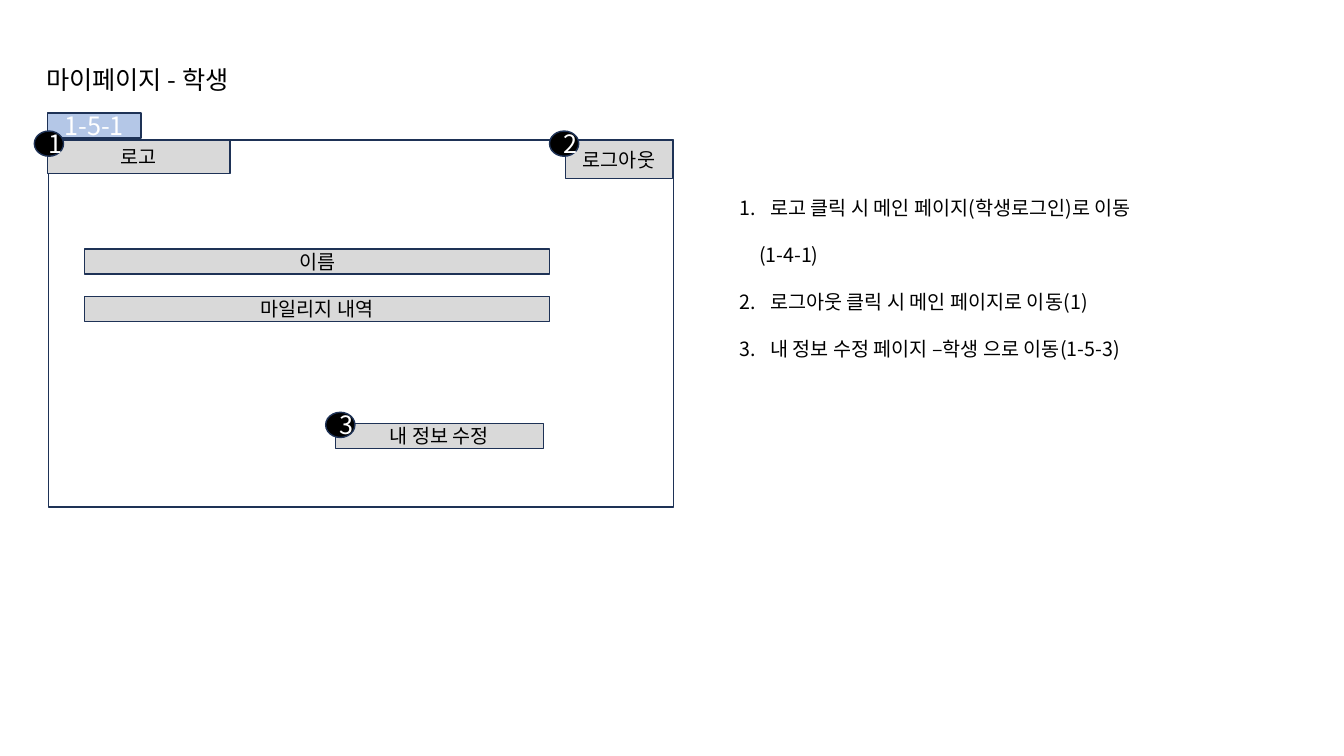
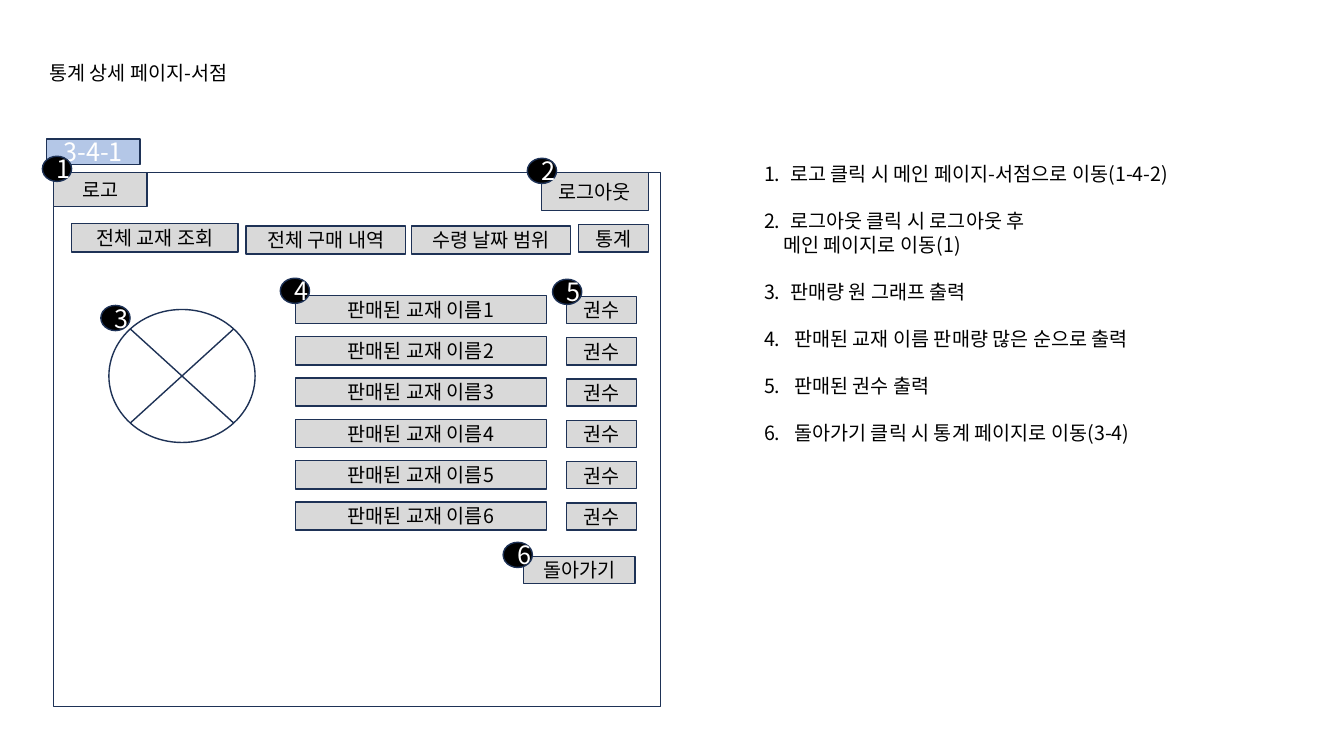
import pptx
import pptx.util
import pptx.dml.color
import pptx.enum.shapes
import pptx.enum.text
import pptx.oxml

Inches, Pt = pptx.util.Inches, pptx.util.Pt
RGB = pptx.dml.color.RGBColor
SHAPE = pptx.enum.shapes.MSO_SHAPE
CENTER = pptx.enum.text.PP_ALIGN.CENTER

FONT = "Noto Sans CJK KR"
BLACK, WHITE = RGB(0, 0, 0), RGB(0xFF, 0xFF, 0xFF)
NAVY, BLUE, GRAY = RGB(0x1E, 0x32, 0x56), RGB(0xB4, 0xC7, 0xE7), RGB(0xD9, 0xD9, 0xD9)

# Part styles: preset shape, fill, text format
FRAME = (SHAPE.RECTANGLE, WHITE, {})
TAG = (SHAPE.RECTANGLE, BLUE, {"size": 18, "color": WHITE})
BUTTON = (SHAPE.RECTANGLE, GRAY, {"size": 14, "color": BLACK})
BADGE = (SHAPE.OVAL, BLACK, {"size": 18, "color": WHITE})
PIE = (SHAPE.FLOWCHART_SUMMING_JUNCTION, WHITE, {})

BADGE_SIZE = (0.29, 0.25)
TAG_SIZE = (0.93, 0.25)
CONTINUATION_INDENT = 0.19
ROW_TOP, ROW_PITCH, ROW_COUNT = 2.93, 0.41, 6

# Notes: (number or None, text, indent, blank line above)
SLIDES = [
    {
        "title": ("마이페이지 - 학생", 18, (0.36, 0.59, 3.63, 0.4)),
        "frame": (0.48, 1.39, 6.2, 3.64),
        "tag": ("1-5-1", 0.47, 1.12),
        "buttons": [
            ("이름", 0.84, 2.47, 4.61, 0.25),
            ("마일리지 내역", 0.84, 2.94, 4.61, 0.25),
            ("내 정보 수정", 3.33, 4.2, 2.06, 0.25),
            ("로그아웃", 5.61, 1.39, 1.06, 0.38),
            ("로고", 0.47, 1.39, 1.81, 0.33),
        ],
        "pies": [],
        "badges": [(0.34, 1.3), (5.45, 1.3), (3.23, 4.09)],
        "notes_box": (7.24, 1.89, 4.9, 1.75),
        "notes": [
            (1, "로고 클릭 시 메인 페이지(학생로그인)로 이동", 0.3, False),
            (None, "(1-4-1)", CONTINUATION_INDENT, True),
            (2, "로그아웃 클릭 시 메인 페이지로 이동(1)", 0.3, True),
            (3, "내 정보 수정 페이지 –학생 으로 이동(1-5-3)", 0.3, True),
        ],
    },
    {
        "title": ("통계 상세 페이지-서점", 14, (0.39, 0.56, 6.72, 0.34)),
        "frame": (0.53, 1.71, 6.02, 5.3),
        "tag": ("3-4-1", 0.46, 1.38),
        "buttons": [
            ("로그아웃", 5.37, 1.71, 1.06, 0.38),
            ("로고", 0.53, 1.71, 0.93, 0.34),
            ("전체 교재 조회", 0.71, 2.22, 1.65, 0.28),
            ("전체 구매 내역", 2.44, 2.24, 1.58, 0.28),
            ("수령 날짜 범위", 4.08, 2.24, 1.58, 0.28),
            ("통계", 5.74, 2.23, 0.69, 0.27),
            ("돌아가기", 5.19, 5.52, 1.11, 0.27),
        ] + [
            cell
            for i in range(ROW_COUNT)
            for cell in (
                (f"판매된 교재 이름{i + 1}", 2.93, ROW_TOP + i * ROW_PITCH, 2.49, 0.28),
                ("권수", 5.62, ROW_TOP + 0.01 + i * ROW_PITCH, 0.69, 0.27),
            )
        ],
        "pies": [(1.08, 3.07, 1.45, 1.32)],
        "badges": [(0.42, 1.55), (5.23, 1.57), (1, 3.03),
                   (2.78, 2.76), (5.48, 2.77), (4.99, 5.38)],
        "notes_box": (7.48, 1.56, 4.6, 2.93),
        "notes": [
            (1, "로고 클릭 시 메인 페이지-서점으로 이동(1-4-2)", 0.26, False),
            (2, "로그아웃 클릭 시 로그아웃 후", 0.26, True),
            (None, "메인 페이지로 이동(1)", CONTINUATION_INDENT, False),
            (3, "판매량 원 그래프 출력", 0.26, True),
            (4, "판매된 교재 이름 판매량 많은 순으로 출력", 0.3, True),
            (5, "판매된 권수 출력", 0.3, True),
            (6, "돌아가기 클릭 시 통계 페이지로 이동(3-4)", 0.3, True),
        ],
    },
]


def write(p, text, size, color):
    p.line_spacing = Pt(size * 1.2)
    r = p.add_run()
    r.text = text
    for name, value in {"name": FONT, "size": Pt(size)}.items():
        setattr(r.font, name, value)
    r.font.color.rgb = color
    ea = pptx.oxml.parse_xml(
        f'<a:ea xmlns:a="http://schemas.openxmlformats.org/drawingml/2006/main" typeface="{FONT}"/>')
    r.font._element.find(pptx.oxml.ns.qn("a:latin")).addnext(ea)


def add_part(slide, style, box, text=""):
    preset, fill, text_format = style
    sp = slide.shapes.add_shape(preset, *map(Inches, box))
    sp.shadow.inherit = False
    sp.fill.solid()
    sp.fill.fore_color.rgb = fill
    sp.line.color.rgb = NAVY
    sp.line.width = Pt(1)
    if text:
        p = sp.text_frame.paragraphs[0]
        p.alignment = CENTER
        write(p, text, **text_format)


def add_text_frame(slide, box):
    tf = slide.shapes.add_textbox(*map(Inches, box)).text_frame
    tf.word_wrap = True
    return tf


def indent_note(p, number, indent):
    """Hang a numbered note; indent an unnumbered one."""
    pPr = p._p.get_or_add_pPr()
    pPr.set("marL", str(Inches(indent)))
    pPr.set("indent", str(-Inches(indent) if number else 0))
    if number:
        qn = pptx.oxml.ns.qn
        pPr.append(pPr.makeelement(qn("a:buFont"), {"typeface": FONT}))
        pPr.append(pPr.makeelement(
            qn("a:buAutoNum"), {"type": "arabicPeriod", "startAt": str(number)}))


def add_notes(slide, box, notes):
    tf = add_text_frame(slide, box)
    for i, (number, text, indent, gap) in enumerate(notes):
        p = tf.add_paragraph() if i else tf.paragraphs[0]
        write(p, text, 14, BLACK)
        p.space_before = Pt(16.8 if gap else 0)
        indent_note(p, number, indent)


def build_slide(prs, page):
    slide = prs.slides.add_slide(prs.slide_layouts[6])
    title, size, box = page["title"]
    write(add_text_frame(slide, box).paragraphs[0], title, size, BLACK)
    add_part(slide, FRAME, page["frame"])
    tag, *corner = page["tag"]
    add_part(slide, TAG, (*corner, *TAG_SIZE), tag)
    for text, *box in page["buttons"]:
        add_part(slide, BUTTON, box, text)
    for box in page["pies"]:
        add_part(slide, PIE, box)
    for number, corner in enumerate(page["badges"], 1):
        add_part(slide, BADGE, (*corner, *BADGE_SIZE), str(number))
    add_notes(slide, page["notes_box"], page["notes"])


def main():
    prs = pptx.Presentation()
    prs.slide_width, prs.slide_height = Inches(13.33), Inches(7.5)
    for page in SLIDES:
        build_slide(prs, page)
    prs.save("out.pptx")


if __name__ == "__main__":
    main()
